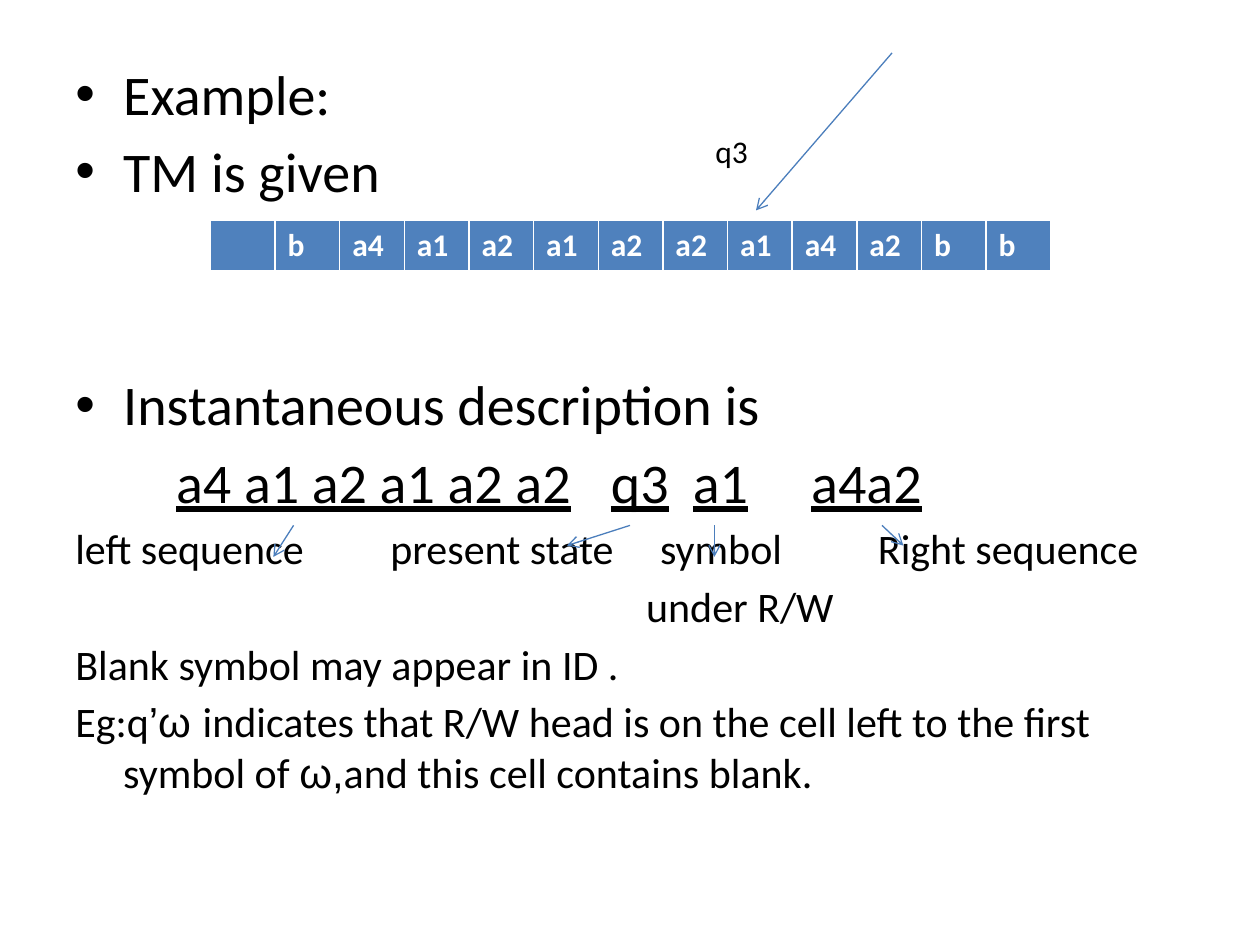
import pptx
import pptx.util
import pptx.dml.color
import pptx.enum.shapes
import lxml.etree

Inches, Pt = pptx.util.Inches, pptx.util.Pt
RGB = pptx.dml.color.RGBColor.from_string

THEME = {
    "font": "Calibri", "greek": "Arial",
    "ink": "000000", "white": "FFFFFF", "cell": "4F81BD", "arrow": "4B7EBC",
    "big": 32, "mid": 24, "small": 18, "line": 0.75,
}

# Content: style, tab stops in inches, space before in points, runs
# Run marks: "" plain, "u" underlined, "g" Greek font
BODY = [
    ("bullet", [], 0, [("Example:", "")]),
    ("bullet", [], 5.8, [("TM is given", "")]),
    ("bullet", [], 95, [("Instantaneous description is", "")]),
    ("big", [0.8, 4.25, 4.9, 5.84], 5.8, [
        ("\t", ""), ("a4 a1 a2 a1 a2 a2", "u"), ("\t", ""), ("q3", "u"),
        ("\t", ""), ("a1", "u"), ("\t", ""), ("a4a2", "u")]),
    ("mid", [2.5, 4.64, 6.37], 4.3,
     [("left sequence\tpresent state\tsymbol\tRight sequence", "")]),
    ("mid", [4.53], 4.3, [("\tunder R/W", "")]),
    ("mid", [], 4.3, [("Blank symbol may appear in ID .", "")]),
    ("hang", [], 4.3, [
        ("Eg:q", ""), ("’ω ", "g"),
        ("indicates that R/W head is on the cell left to the first symbol of ", ""),
        ("ω,", "g"), ("and this cell contains blank.", "")]),
]
TAPE = ["", "b", "a4", "a1", "a2", "a1", "a2", "a2", "a1", "a4", "a2", "b", "b"]
HEAD = ((7.08, 0.42), (6, 1.67))
LINKS = [
    ((2.33, 4.17), (2.17, 4.42)),
    ((5, 4.17), (4.5, 4.33)),
    ((5.67, 4.17), (5.67, 4.42)),
    ((7, 4.17), (7.17, 4.33)),
]


def add_tag(node, name, **attrs):
    tag = pptx.oxml.ns.qn(name)
    return lxml.etree.SubElement(node, tag, attrs)


def paint(run, size, color, mark=""):
    font = run.font
    font.name = THEME["greek" if mark == "g" else "font"]
    font.size = Pt(size)
    font.color.rgb = RGB(color)
    if mark == "u":
        font.underline = True


def add_body(slide):
    box = slide.shapes.add_textbox(Inches(0.5), Inches(0.42), Inches(9), Inches(6.58))
    frame = box.text_frame
    frame.word_wrap = True
    for num, (style, stops, gap, runs) in enumerate(BODY):
        para = frame.add_paragraph() if num else frame.paragraphs[0]
        props = para._p.get_or_add_pPr()
        if style in ("bullet", "hang"):
            props.set("marL", str(Inches(0.38)))
            props.set("indent", str(Inches(-0.38)))
        if style == "bullet":
            add_tag(props, "a:buFont", typeface="Arial")
            add_tag(props, "a:buChar", char="•")
        if stops:
            tabs = add_tag(props, "a:tabLst")
            for stop in stops:
                add_tag(tabs, "a:tab", pos=str(Inches(stop)), algn="l")
        para.space_before = Pt(gap)
        size = THEME["big" if style in ("bullet", "big") else "mid"]
        for text, mark in runs:
            run = para.add_run()
            run.text = text
            paint(run, size, THEME["ink"], mark)


def add_tape(slide):
    table = slide.shapes.add_table(1, len(TAPE), Inches(1.67), Inches(1.75),
                                   Inches(6.67), Inches(0.4)).table
    table.horz_banding = False
    for cell, text in zip(table.rows[0].cells, TAPE):
        cell.fill.solid()
        cell.fill.fore_color.rgb = RGB(THEME["cell"])
        cell.text_frame.text = text
        for run in cell.text_frame.paragraphs[0].runs:
            paint(run, THEME["small"], THEME["white"])
            run.font.bold = True


def add_arrow(slide, start, end):
    ends = [Inches(val) for val in start + end]
    link = slide.shapes.add_connector(
        pptx.enum.shapes.MSO_CONNECTOR.STRAIGHT, *ends)
    link.line.color.rgb = RGB(THEME["arrow"])
    link.line.width = Pt(THEME["line"])
    add_tag(link.line._get_or_add_ln(), "a:tailEnd", type="arrow")
    add_tag(link._element.spPr, "a:effectLst")


def add_state(slide):
    box = slide.shapes.add_textbox(Inches(5.58), Inches(1), Inches(0.46), Inches(0.4))
    box.text_frame.word_wrap = False
    box.text_frame.text = "q3"
    paint(box.text_frame.paragraphs[0].runs[0], THEME["small"], THEME["ink"])


def main():
    deck = pptx.Presentation()
    deck.slide_width, deck.slide_height = Inches(10), Inches(7.5)
    slide = deck.slides.add_slide(deck.slide_layouts[6])

    # Text and tape
    add_body(slide)
    add_tape(slide)

    # Read/write head with its state
    add_arrow(slide, *HEAD)
    add_state(slide)

    # Arrows from the description to its labels
    for start, end in LINKS:
        add_arrow(slide, start, end)

    deck.save("out.pptx")


if __name__ == "__main__":
    main()
